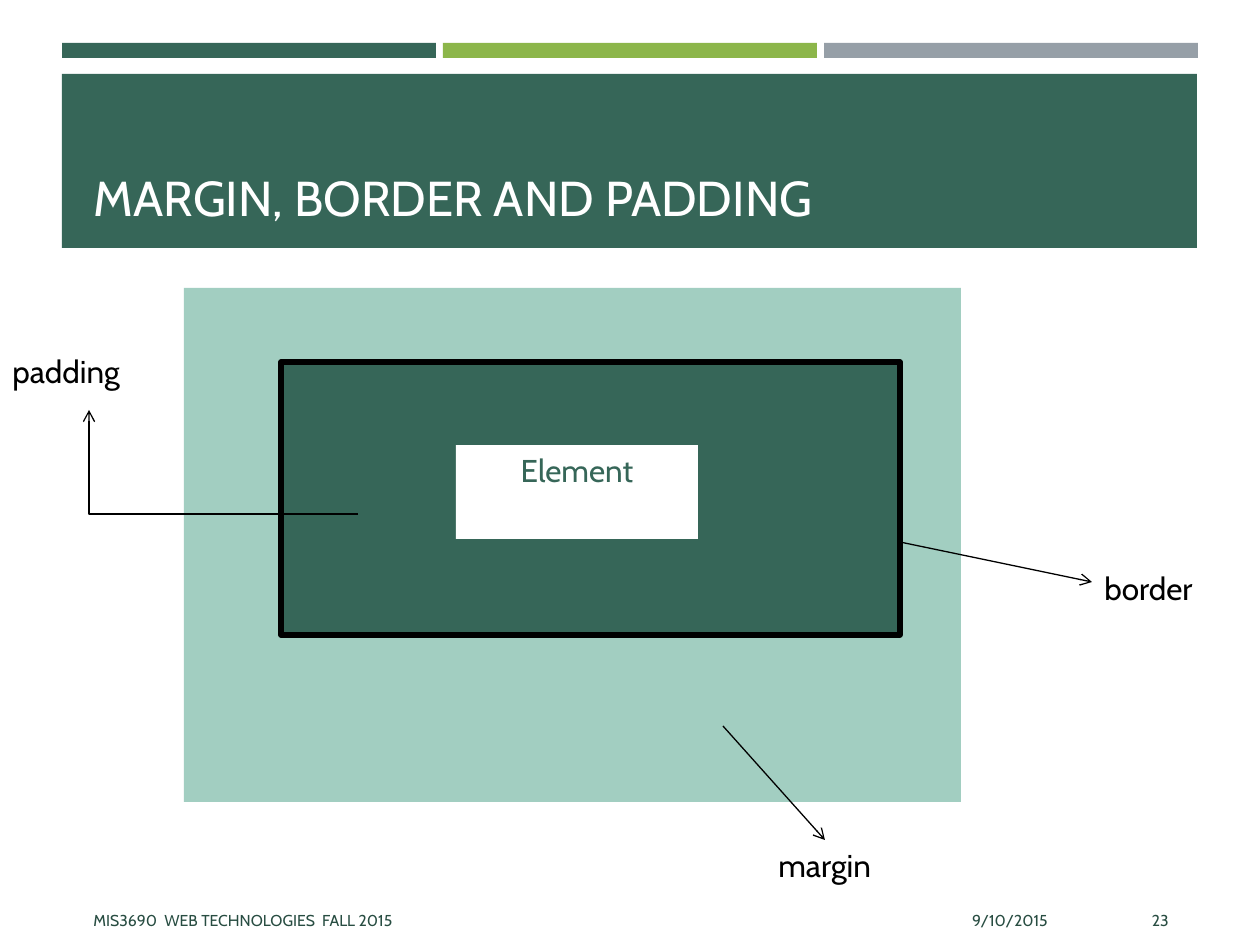
from lxml.etree import SubElement
from pptx import Presentation
from pptx.dml.color import RGBColor
from pptx.enum.shapes import MSO_CONNECTOR as Link, MSO_SHAPE as Shape
from pptx.enum.text import MSO_ANCHOR as Anchor, PP_ALIGN as Align
from pptx.oxml.ns import qn
from pptx.util import Inches, Pt

PX = Inches(1) / 126
FONT = "Cabin"
COLORS = {
    "green": "366658",
    "lime": "8CB64A",
    "gray": "969FA7",
    "mint": "A2CEC1",
    "footer": "284D42",
    "black": "000000",
    "white": "FFFFFF",
}


def emu(*lengths):
    return [round(length * PX) for length in lengths]


def rgb(name):
    return RGBColor.from_string(COLORS[name])


def write(frame, text, size=18, color="black", align=Align.LEFT,
          anchor=Anchor.TOP, wrap=True, top_inset=6):
    frame.word_wrap = wrap
    frame.vertical_anchor = anchor
    frame.margin_top, = emu(top_inset)
    paragraph = frame.paragraphs[0]
    paragraph.alignment = align
    run = paragraph.add_run()
    run.text = text
    run.font.name = FONT
    run.font.size = Pt(size)
    run.font.color.rgb = rgb(color)


class SlideBuilder:
    def __init__(self, slide):
        self.slide = slide
        self.shapes = slide.shapes

    def title(self, text, *box):
        heading = self.shapes.title
        heading.left, heading.top, heading.width, heading.height = emu(*box)
        write(heading.text_frame, text, size=28, color="white", anchor=Anchor.BOTTOM)
        self.shapes._spTree.append(heading._element)

    def rect(self, *box, fill, border=0):
        area = self.shapes.add_shape(Shape.RECTANGLE, *emu(*box))
        area.shadow.inherit = False
        area.fill.solid()
        area.fill.fore_color.rgb = rgb(fill)
        if border:
            area.line.color.rgb = rgb("black")
            area.line.width = Pt(border)
        else:
            area.line.fill.background()
        return area

    def label(self, text, *box, **style):
        caption = self.shapes.add_textbox(*emu(*box))
        write(caption.text_frame, text, **style)
        return caption

    def arrow(self, *ends, kind=Link.STRAIGHT):
        pointer = self.shapes.add_connector(kind, *emu(*ends))
        pointer.line.color.rgb = rgb("black")
        pointer.line.width = Pt(0.75)
        SubElement(pointer.line._get_or_add_ln(), qn("a:tailEnd"), type="arrow")
        SubElement(pointer._element.spPr, qn("a:effectLst"))
        return pointer

    def corner_arrow(self, left, top, right, bottom):
        pointer = self.arrow(left, top, right, bottom, kind=Link.ELBOW)
        properties = pointer._element.spPr
        properties.find(qn("a:prstGeom")).set("prst", "bentConnector2")
        properties.find(qn("a:xfrm")).set("rot", str(180 * 60000))


def main():
    deck = Presentation()
    deck.slide_width, deck.slide_height = Inches(10), Inches(7.5)
    page = SlideBuilder(deck.slides.add_slide(deck.slide_layouts[5]))

    for column, color in enumerate(("green", "lime", "gray")):
        page.rect(62 + column * 381, 43, 374, 15, fill=color)
    page.rect(62, 74, 1135, 174, fill="green")
    page.title("MARGIN, BORDER AND PADDING", 81, 84, 1101, 149)

    footer = {"size": 9, "color": "footer", "anchor": Anchor.MIDDLE}
    page.label("9/10/2015", 766, 895, 294, 50, align=Align.RIGHT, **footer)
    page.label("MIS3690  WEB TECHNOLOGIES  FALL 2015", 81, 895, 672, 50, **footer)
    page.label("23", 1075, 895, 106, 50, align=Align.RIGHT, **footer)

    page.rect(184, 288, 777, 514, fill="mint")
    page.rect(281, 362, 619, 273, fill="green", border=3)
    element = page.rect(456, 445, 242, 94, fill="white")
    write(element.text_frame, "Element", color="green", align=Align.CENTER, wrap=False)

    page.corner_arrow(89, 410, 358, 514)
    border_arrow = page.arrow(900, 542, 1092, 582)
    page.arrow(723, 726, 825, 840)

    border_label = page.label("border", 1092, 525, 148, 114, top_inset=44)
    border_arrow.end_connect(border_label, 1)
    page.label("margin", 766, 840, 262, 63)
    page.label("padding", 0, 346, 179, 63)

    deck.save("out.pptx")


if __name__ == "__main__":
    main()
